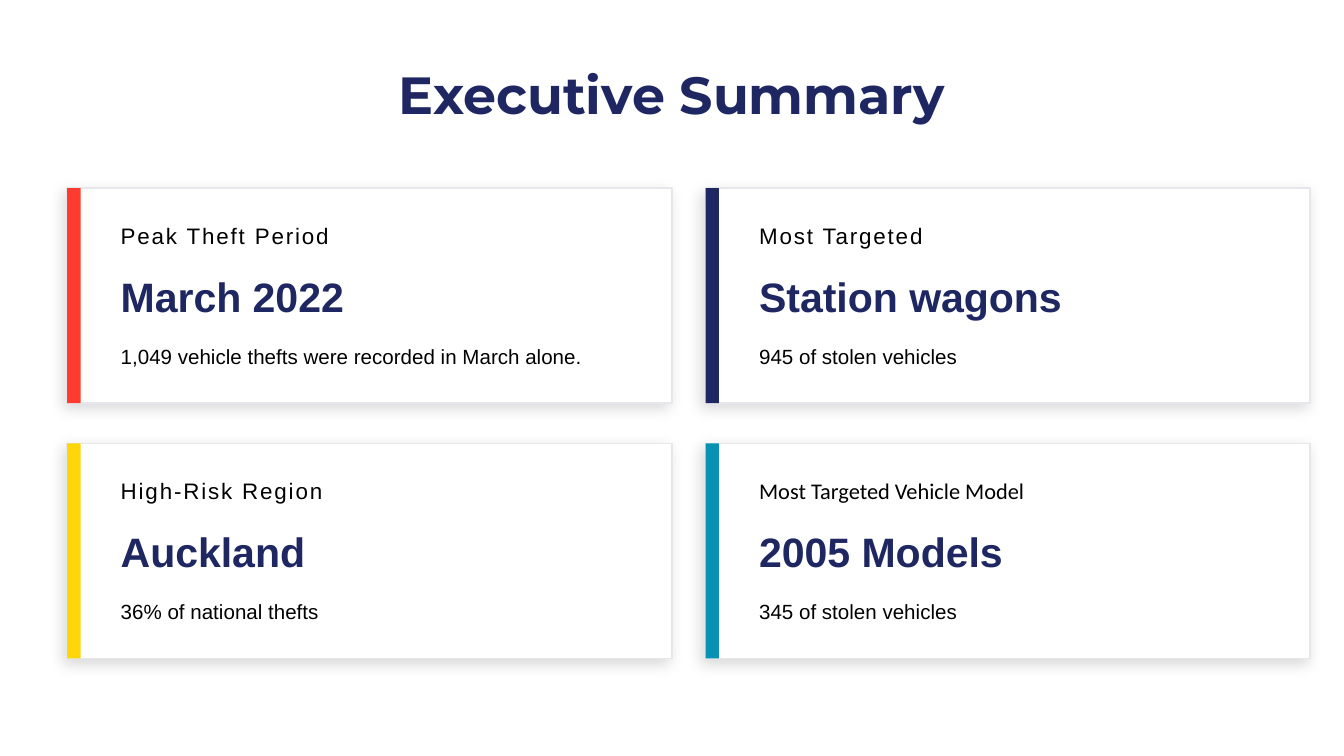
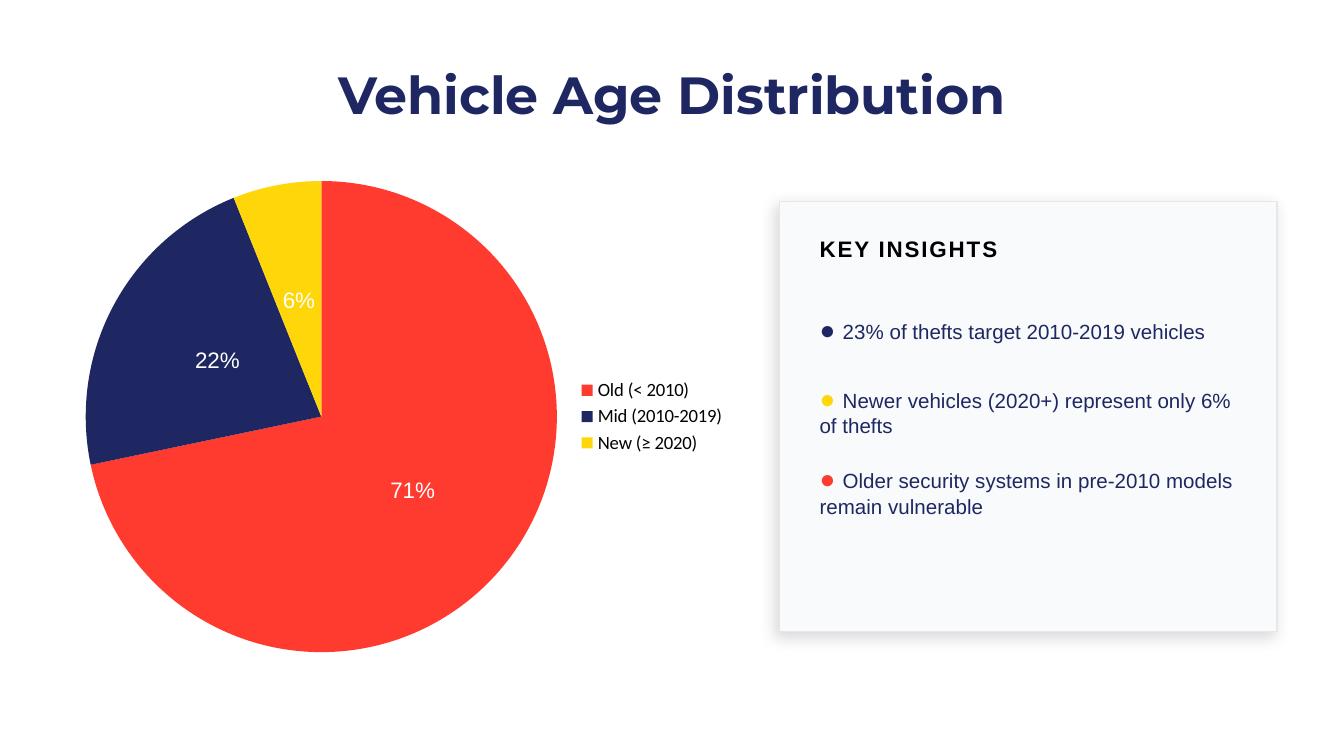
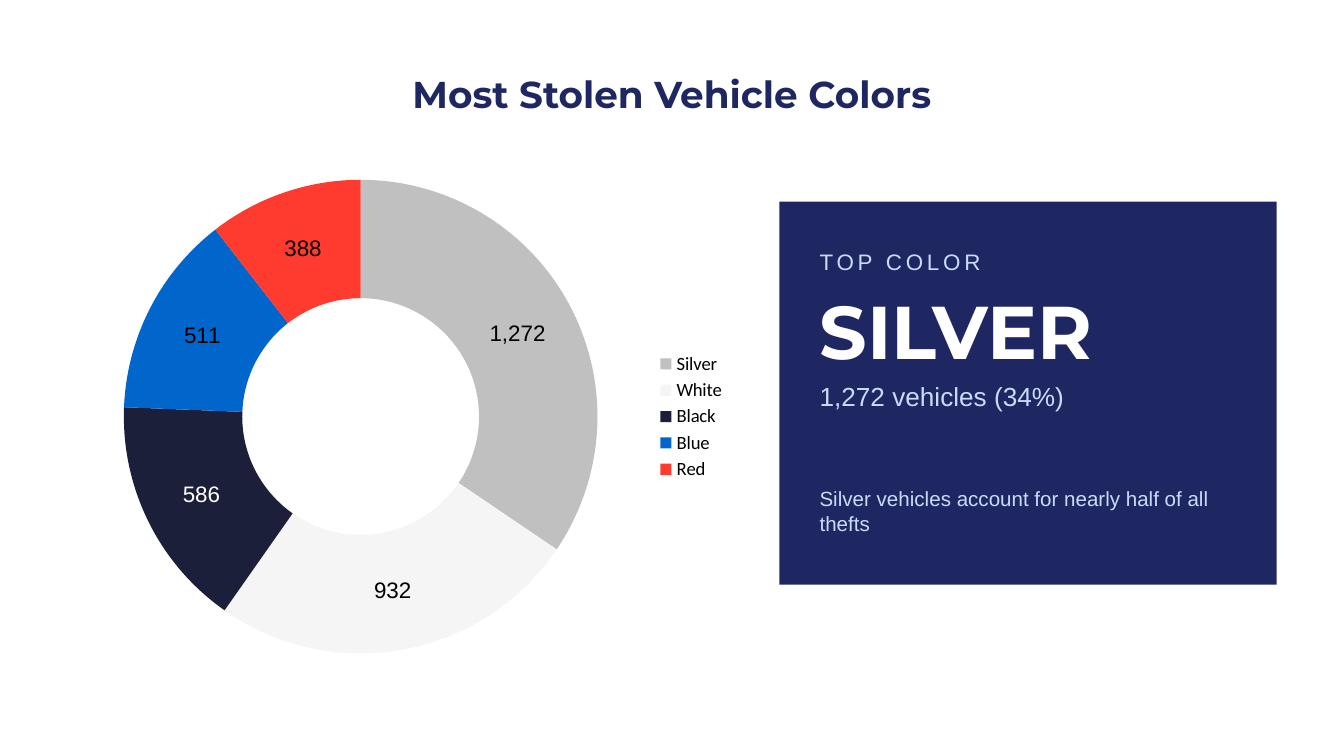
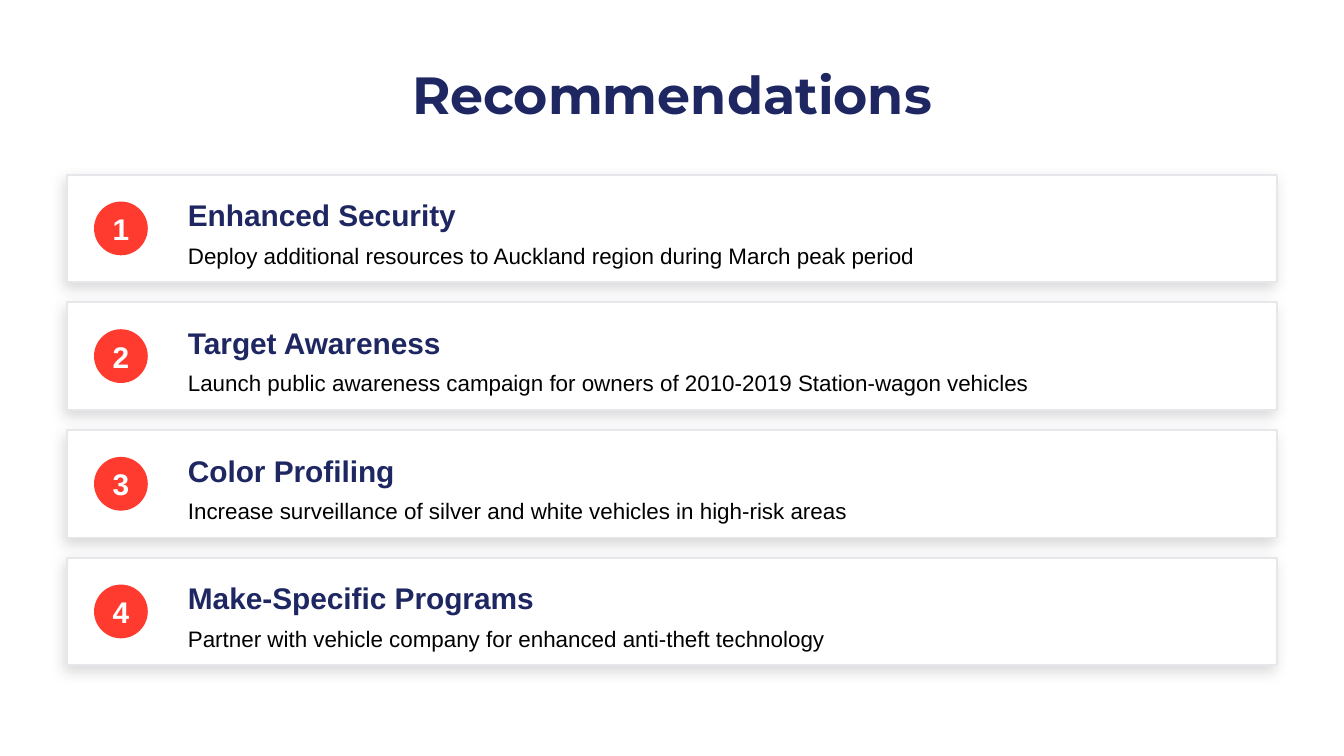
import dataclasses

import lxml.etree
import pptx
import pptx.chart.data
import pptx.dml.color
import pptx.enum.chart
import pptx.enum.shapes
import pptx.enum.text
import pptx.oxml.ns
import pptx.util

Pt = pptx.util.Pt
qn = pptx.oxml.ns.qn
SHAPE = pptx.enum.shapes.MSO_SHAPE
CHART = pptx.enum.chart.XL_CHART_TYPE
ALIGN = pptx.enum.text.PP_ALIGN


@dataclasses.dataclass(frozen=True)
class Theme:
    """Colours, fonts and type sizes shared by all slides."""

    navy: str = "1E2761"
    red: str = "FF3B30"
    yellow: str = "FFD60A"
    teal: str = "0891B2"
    white: str = "FFFFFF"
    black: str = "000000"
    border: str = "E5E7EB"
    panel: str = "F8FAFC"
    ice: str = "CADCFC"
    silver: str = "C0C0C0"
    off_white: str = "F5F5F5"
    ink: str = "1C1F3A"
    blue: str = "0066CC"
    display: str = "Montserrat"
    body: str = "Arial"
    legend: str = "Calibri"
    title: int = 28
    small_title: int = 20
    hero: int = 40
    figure: int = 22
    heading: int = 16
    lead: int = 14
    label: int = 12
    detail: int = 11
    key: int = 10


THEME = Theme()


def style(size, color=THEME.black, name=THEME.body, bold=False, spacing=0):
    """Return the format values of one kind of text."""
    return {"font": {"size": Pt(size), "name": name, "bold": bold},
            "color": color, "spacing": spacing}


def rgb(color):
    """Turn a hex string into a colour."""
    return pptx.dml.color.RGBColor.from_string(color)


def set_all(target, values):
    """Set every attribute in a dict of format values."""
    for name, value in values.items():
        setattr(target, name, value)


def format_font(font, look):
    """Apply a text style to a font."""
    set_all(font, look["font"])
    font.color.rgb = rgb(look["color"])


def add_text(slide, box, *runs, align=ALIGN.LEFT):
    """Place one paragraph of (text, style) runs in a box."""
    frame = slide.shapes.add_textbox(*map(Pt, box)).text_frame
    set_all(frame, {"word_wrap": True,
                    "vertical_anchor": pptx.enum.text.MSO_ANCHOR.MIDDLE})
    paragraph = frame.paragraphs[0]
    paragraph.alignment = align
    for words, look in runs:
        run = paragraph.add_run()
        run.text = words
        format_font(run.font, look)
        if look["spacing"]:
            run.font._element.set("spc", str(look["spacing"] * 100))


def add_block(slide, box, fill, kind=SHAPE.RECTANGLE):
    """Place a flat filled shape without outline or shadow."""
    block = slide.shapes.add_shape(kind, *map(Pt, box))
    block.shadow.inherit = False
    block.fill.solid()
    block.fill.fore_color.rgb = rgb(fill)
    block.line.fill.background()
    return block


def add_raised_panel(slide, box, fill=THEME.white):
    """Place a bordered panel with a soft shadow."""
    panel = add_block(slide, box, fill)
    panel.line.color.rgb = rgb(THEME.border)
    panel.line.width = Pt(1)
    effects = panel._element.spPr.find(qn("a:effectLst"))
    shadow = lxml.etree.SubElement(
        effects, qn("a:outerShdw"), blurRad=str(Pt(8)), dist=str(Pt(3)),
        dir=str(135 * 60000), algn="bl", rotWithShape="0")
    tint = lxml.etree.SubElement(shadow, qn("a:srgbClr"), val=THEME.black)
    lxml.etree.SubElement(tint, qn("a:alpha"), val="15000")


def add_titled_slide(deck, title, size=THEME.title):
    """Add a blank slide with the shared title."""
    slide = deck.slides.add_slide(deck.slide_layouts[6])
    add_text(slide, (36, 28.8, 648, 43.2),
             (title, style(size, THEME.navy, THEME.display, bold=True)),
             align=ALIGN.CENTER)
    return slide


def add_share_chart(slide, kind, shares, number_format, label_color):
    """Place a pie or doughnut of (category, value, colour) shares."""
    data = pptx.chart.data.CategoryChartData()
    data.categories = [category for category, _, _ in shares]
    data.add_series("Series 1", [value for _, value, _ in shares])
    chart = slide.shapes.add_chart(
        kind, *map(Pt, (36, 86.4, 360, 273.6)), data).chart
    set_all(chart, {"has_title": False, "has_legend": True})
    set_all(chart.legend, {
        "position": pptx.enum.chart.XL_LEGEND_POSITION.RIGHT,
        "include_in_layout": False})
    format_font(chart.font, style(THEME.key, name=THEME.legend))
    chart.plots[0].vary_by_categories = True
    series = chart.plots[0].series[0]
    for index, (_, _, color) in enumerate(shares):
        wedge = series.points[index].format
        wedge.fill.solid()
        wedge.fill.fore_color.rgb = rgb(color)
        wedge.line.fill.background()
    labels = series.data_labels
    set_all(labels, {"show_value": True, "number_format": number_format,
                     "number_format_is_linked": False})
    format_font(labels.font, style(THEME.label, label_color))
    return chart


def add_summary_card(slide, box, accent, label, figure, detail, label_style):
    """Place a card with an accent bar and three lines."""
    left, top, width, height = box
    add_raised_panel(slide, box)
    add_block(slide, (left, top, 7.2, height), accent)
    lines = (
        (14.4, 21.6, label, label_style),
        (39.6, 36, figure, style(THEME.figure, THEME.navy, bold=True)),
        (79.2, 21.6, detail, style(THEME.detail)),
    )
    for offset, line_height, words, look in lines:
        add_text(slide, (left + 21.6, top + offset, width - 36, line_height),
                 (words, look))


def build_summary(deck):
    """Build the grid of four findings."""
    slide = add_titled_slide(deck, "Executive Summary")
    spaced = style(THEME.label, spacing=1)
    plain = style(THEME.label, name=THEME.legend)
    findings = (
        (THEME.red, "Peak Theft Period", "March 2022",
         "1,049 vehicle thefts were recorded in March alone.", spaced),
        (THEME.navy, "Most Targeted", "Station wagons",
         "945 of stolen vehicles", spaced),
        (THEME.yellow, "High-Risk Region", "Auckland",
         "36% of national thefts", spaced),
        (THEME.teal, "Most Targeted Vehicle Model", "2005 Models",
         "345 of stolen vehicles", plain),
    )
    for index, finding in enumerate(findings):
        row, column = divmod(index, 2)
        box = (36 + 342 * column, 100.8 + 136.8 * row, 324, 115.2)
        add_summary_card(slide, box, *finding)


def add_insights(slide, box, insights):
    """Place the panel of insights with coloured dots."""
    left, top, width, _ = box
    add_raised_panel(slide, box, THEME.panel)
    add_text(slide, (left + 14.4, top + 14.4, width - 28.8, 21.6),
             ("KEY INSIGHTS", style(THEME.label, bold=True, spacing=1)))
    for index, (dot, insight) in enumerate(insights):
        add_text(slide,
                 (left + 14.4, top + 50.4 + 43.2 * index, width - 28.8, 36),
                 ("● ", style(THEME.lead, dot)),
                 (insight, style(THEME.detail, THEME.navy)))


def build_age(deck):
    """Build the age pie and its insights."""
    slide = add_titled_slide(deck, "Vehicle Age Distribution")
    ages = (("Old (< 2010)", 71, THEME.red),
            ("Mid (2010-2019)", 22, THEME.navy),
            ("New (≥ 2020)", 6, THEME.yellow))
    pie = add_share_chart(slide, CHART.PIE, ages, '0"%"', THEME.white)
    pie.plots[0].series[0].data_labels.position = (
        pptx.enum.chart.XL_LABEL_POSITION.CENTER)
    add_insights(slide, (417.6, 108, 266.4, 230.4), (
        (THEME.navy, "23% of thefts target 2010-2019 vehicles"),
        (THEME.yellow, "Newer vehicles (2020+) represent only 6% of thefts"),
        (THEME.red,
         "Older security systems in pre-2010 models remain vulnerable"),
    ))


def add_top_color(slide, box):
    """Place the panel about the leading colour."""
    left, top, width, _ = box
    add_block(slide, box, THEME.navy)
    lines = (
        (21.6, 21.6, "TOP COLOR", style(THEME.label, THEME.ice, spacing=2)),
        (50.4, 36, "SILVER",
         style(THEME.hero, THEME.white, THEME.display, bold=True)),
        (93.6, 21.6, "1,272 vehicles (34%)", style(THEME.lead, THEME.ice)),
        (144, 43.2, "Silver vehicles account for nearly half of all thefts",
         style(THEME.detail, THEME.ice)),
    )
    for offset, height, words, look in lines:
        add_text(slide, (left + 14.4, top + offset, width - 28.8, height),
                 (words, look))


def build_colors(deck):
    """Build the colour doughnut and its leading colour."""
    slide = add_titled_slide(deck, "Most Stolen Vehicle Colors",
                             THEME.small_title)
    colors = (("Silver", 1272, THEME.silver), ("White", 932, THEME.off_white),
              ("Black", 586, THEME.ink), ("Blue", 511, THEME.blue),
              ("Red", 388, THEME.red))
    doughnut = add_share_chart(slide, CHART.DOUGHNUT, colors, "#,##0",
                               THEME.black)
    plot = doughnut.plots[0]
    plot._element.find(qn("c:holeSize")).set("val", "40")
    format_font(plot.series[0].points[2].data_label.font,
                style(THEME.label, THEME.white))
    add_top_color(slide, (417.6, 108, 266.4, 205.2))


def add_recommendation(slide, box, number, heading, action):
    """Place a numbered recommendation row."""
    left, top, _, _ = box
    add_raised_panel(slide, box)
    badge = (left + 14.4, top + 14.4, 28.8, 28.8)
    add_block(slide, badge, THEME.red, SHAPE.OVAL)
    add_text(slide, badge,
             (str(number), style(THEME.heading, THEME.white, bold=True)),
             align=ALIGN.CENTER)
    add_text(slide, (left + 57.6, top + 10.8, 540, 21.6),
             (heading, style(THEME.heading, THEME.navy, bold=True)))
    add_text(slide, (left + 57.6, top + 32.4, 540, 21.6),
             (action, style(THEME.label)))


def build_recommendations(deck):
    """Build the list of recommendations."""
    slide = add_titled_slide(deck, "Recommendations")
    recommendations = (
        ("Enhanced Security", "Deploy additional resources to Auckland "
         "region during March peak period"),
        ("Target Awareness", "Launch public awareness campaign for owners "
         "of 2010-2019 Station-wagon vehicles"),
        ("Color Profiling", "Increase surveillance of silver and white "
         "vehicles in high-risk areas"),
        ("Make-Specific Programs", "Partner with vehicle company for "
         "enhanced anti-theft technology"),
    )
    for index, recommendation in enumerate(recommendations):
        add_recommendation(slide, (36, 93.6 + 68.4 * index, 648, 57.6),
                           index + 1, *recommendation)


def main():
    """Build and save the deck."""
    deck = pptx.Presentation()
    set_all(deck, {"slide_width": Pt(720), "slide_height": Pt(405)})
    for build in (build_summary, build_age, build_colors,
                  build_recommendations):
        build(deck)
    deck.save("out.pptx")


if __name__ == "__main__":
    main()
